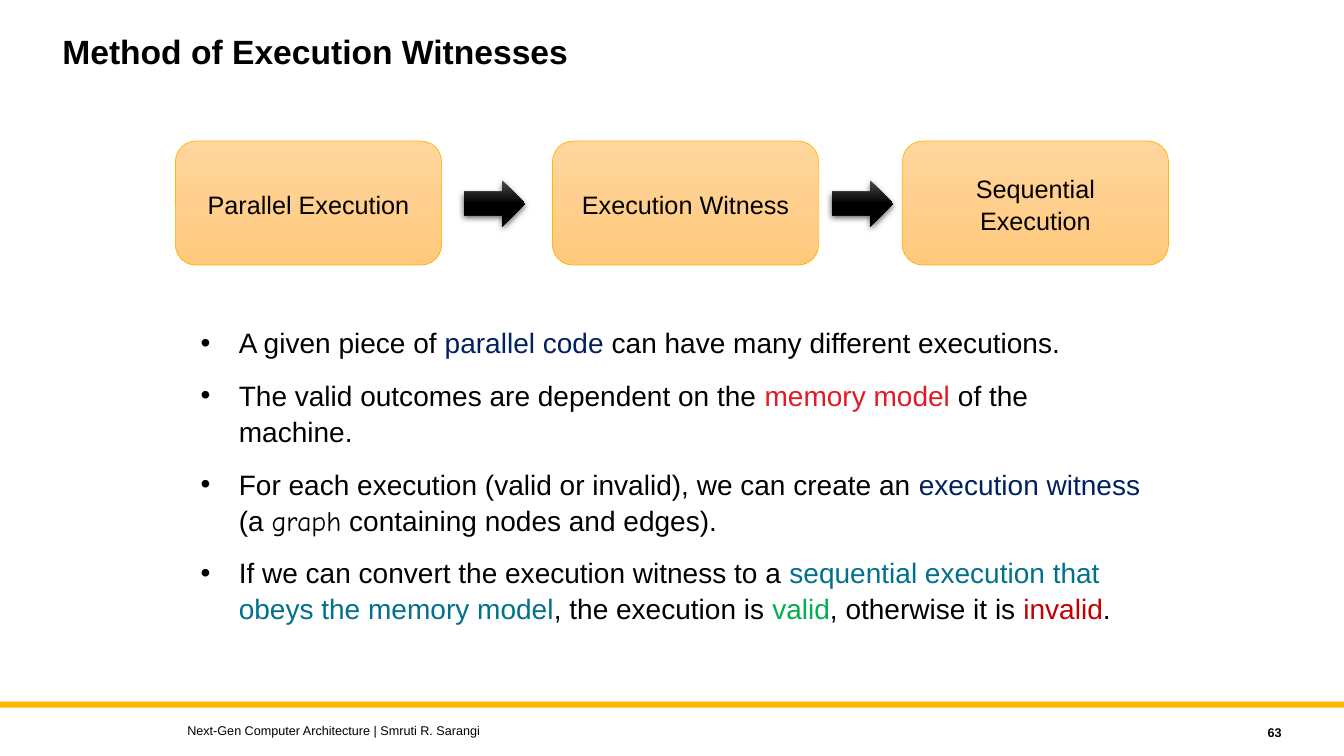
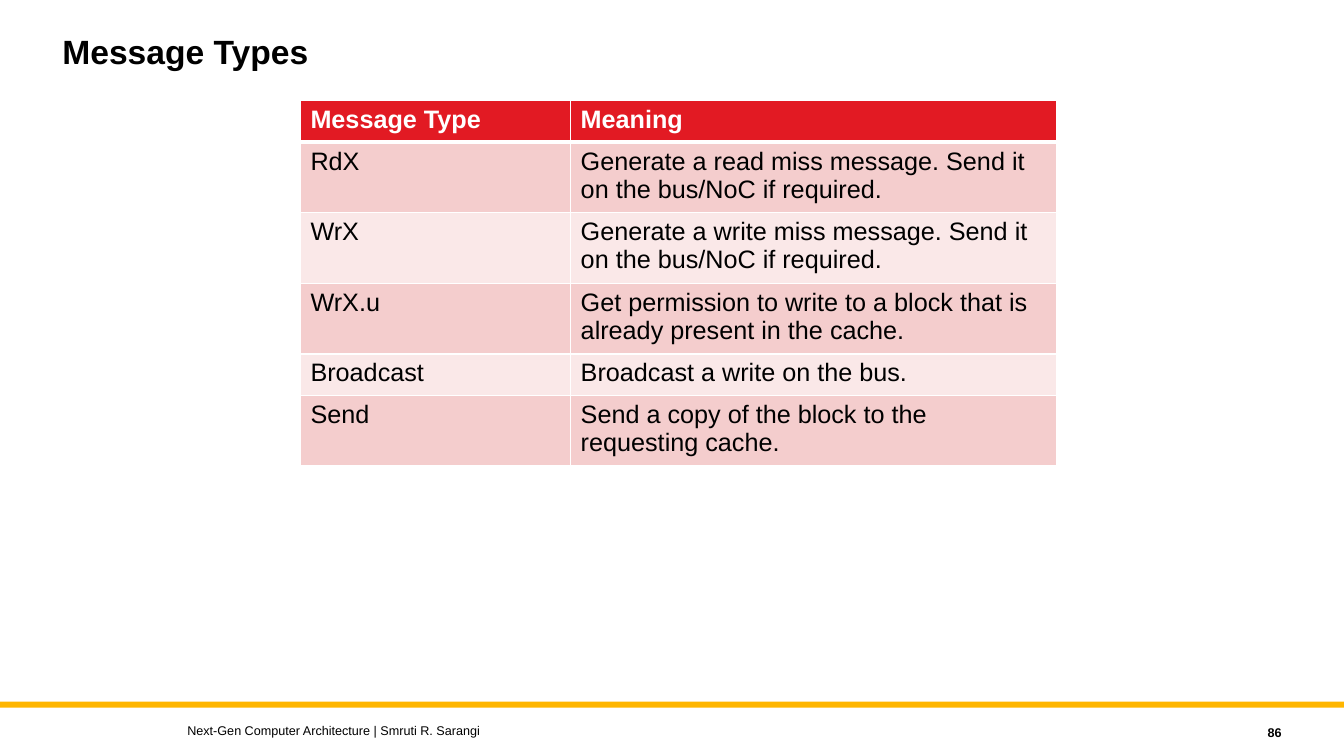
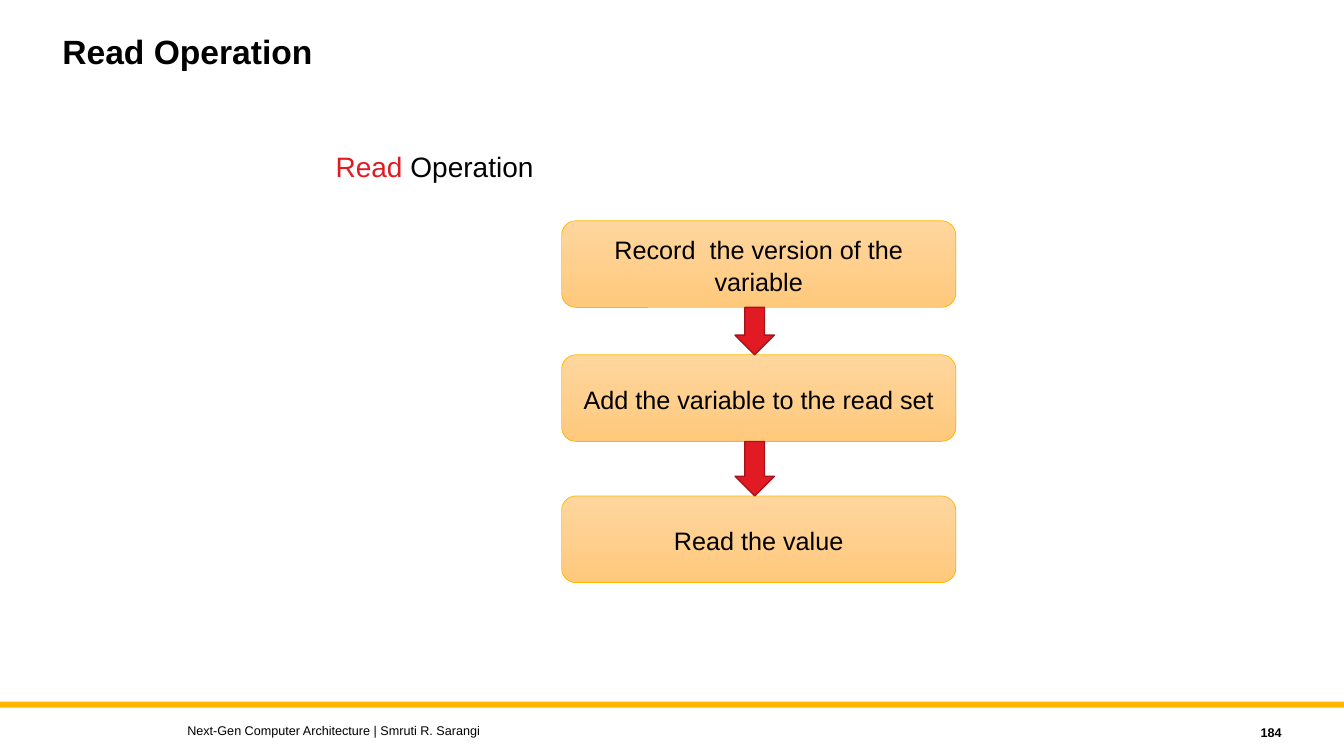
"""Build three computer architecture slides: a flow, a table and a sequence."""
from itertools import pairwise

from lxml import etree
from pptx import Presentation
from pptx import util as u
from pptx.dml.color import RGBColor
from pptx.enum import shapes, text
from pptx.oxml import parse_xml
from pptx.oxml.ns import nsdecls, qn


class Theme:
    font, hand = "Arial", "Comic Neue"
    head, body, label, foot = 24, 20, 18, 9
    black, white, gold, red = "000000", "FFFFFF", "FFB600", "E21A23"
    navy, teal, green, wine = "002060", "01708C", "00B050", "C00000"
    edge, gray = "A7131A", "4B4B4B"
    light, deep = "FFD69E", "FFC97C"
    bands = "FAE8E8", "F4CDCD"
    lead = 1.07


def write(frame, paras, size, bold=False, align=text.PP_ALIGN.LEFT, lead=None):
    """Fill a frame with paragraphs, each a list of (words, colour, font) parts."""
    frame.word_wrap = True
    for i, parts in enumerate(paras):
        para = frame.paragraphs[0] if i == 0 else frame.add_paragraph()
        para.alignment = align
        para.line_spacing = lead
        for words, color, *font in parts:
            run = para.add_run()
            run.text = words
            run.font.size = u.Pt(size)
            run.font.bold = bold
            run.font.name = font[0] if font else Theme.font
            run.font.color.rgb = RGBColor.from_string(color)


def draw(slide, kind, box, fill, line=None, width=0.5, label=None, stop=1):
    """Add a shape with a plain fill, or a downward gradient for a pair of colours."""
    shape = slide.shapes.add_shape(kind, *map(u.Inches, box))
    shape.shadow.inherit = False
    if isinstance(fill, tuple):
        shape.fill.gradient()
        shape.fill.gradient_angle = 270
        for mark, color, spot in zip(shape.fill.gradient_stops, fill, (0, stop)):
            mark.color.rgb = RGBColor.from_string(color)
            mark.position = spot
    else:
        shape.fill.solid()
        shape.fill.fore_color.rgb = RGBColor.from_string(fill)
    if line:
        shape.line.color.rgb = RGBColor.from_string(line)
        shape.line.width = u.Pt(width)
    else:
        shape.line.fill.background()
    if label:
        shape.text_frame.vertical_anchor = text.MSO_ANCHOR.MIDDLE
        write(shape.text_frame, [[(label, Theme.black)]], Theme.label,
              align=text.PP_ALIGN.CENTER, lead=Theme.lead)
    return shape


kinds = shapes.MSO_SHAPE
left, right = text.PP_ALIGN.LEFT, text.PP_ALIGN.RIGHT
top, middle = text.MSO_ANCHOR.TOP, text.MSO_ANCHOR.MIDDLE
credit = "Next-Gen Computer Architecture | Smruti R. Sarangi"

deck = Presentation()
deck.slide_width, deck.slide_height = u.Inches(13.33), u.Inches(7.5)

pages = []
for title, number in [("Method of Execution Witnesses", 63),
                      ("Message Types", 86), ("Read Operation", 184)]:
    page = deck.slides.add_slide(deck.slide_layouts[6])
    draw(page, kinds.RECTANGLE, (0, 6.96, 13.33, 0.06), Theme.gold)
    for words, box, size, bold, align, anchor, lead in [
        (title, (0.52, 0.3, 10, 0.9), Theme.head, True, left, top, 0.9),
        (credit, (1.76, 7.12, 8, 0.25), Theme.foot, False, left, middle, None),
        (str(number), (11.41, 7.14, 1.4, 0.25), Theme.foot, True, right, middle, None),
    ]:
        frame = page.shapes.add_textbox(*map(u.Inches, box)).text_frame
        frame.vertical_anchor = anchor
        write(frame, [[(words, Theme.black)]], size, bold, align, lead)
    pages.append(page)
flow, types, steps = pages

for x, label in [(1.74, "Parallel Execution"), (5.48, "Execution Witness"),
                 (8.95, "Sequential Execution")]:
    draw(flow, kinds.ROUNDED_RECTANGLE, (x, 1.4, 2.64, 1.23),
         (Theme.light, Theme.deep), Theme.gold, label=label)

for x in (4.6, 8.25):
    arrow = draw(flow, kinds.RIGHT_ARROW, (x, 1.79, 0.61, 0.46),
                 (Theme.gray, Theme.black), stop=0.5)
    arrow.element.spPr.find(qn("a:effectLst")).append(parse_xml(
        f'<a:outerShdw {nsdecls("a")} blurRad="{u.Pt(4.5)}" dist="{u.Pt(1.5)}" '
        f'dir="5400000" rotWithShape="0"><a:srgbClr val="{Theme.black}">'
        '<a:alpha val="63000"/></a:srgbClr></a:outerShdw>'))

points = [
    [("A given piece of ", Theme.black), ("parallel code ", Theme.navy),
     ("can have many different executions.", Theme.black)],
    [("The valid outcomes are dependent on the ", Theme.black),
     ("memory model ", Theme.red), ("of the machine.", Theme.black)],
    [("For each execution (valid or invalid), we can create an ", Theme.black),
     ("execution witness ", Theme.navy), ("(a ", Theme.black),
     ("graph", Theme.black, Theme.hand),
     (" containing nodes and edges).", Theme.black)],
    [("If we can convert the execution witness to a ", Theme.black),
     ("sequential execution that obeys the memory model", Theme.teal),
     (", the execution is ", Theme.black), ("valid", Theme.green),
     (", otherwise it is ", Theme.black), ("invalid", Theme.wine),
     (".", Theme.black)],
]
frame = flow.shapes.add_textbox(*map(u.Inches, (1.89, 3.16, 9.55, 3.05))).text_frame
write(frame, points, Theme.body, lead=Theme.lead)
for i, para in enumerate(frame.paragraphs):
    para.space_before = u.Pt(12 if i else 0)
    props = para._p.get_or_add_pPr()
    props.set("marL", str(u.Inches(0.38)))
    props.set("indent", str(-u.Inches(0.38)))
    etree.SubElement(props, qn("a:buFont"), typeface=Theme.font)
    etree.SubElement(props, qn("a:buChar"), char="•")

rows = [
    ("Message Type", "Meaning"),
    ("RdX", "Generate a read miss message. Send it on the bus/NoC if required."),
    ("WrX", "Generate a write miss message. Send it on the bus/NoC if required."),
    ("WrX.u", "Get permission to write to a block that is already present in the cache."),
    ("Broadcast", "Broadcast a write on the bus."),
    ("Send", "Send a copy of the block to the requesting cache."),
]
grid = types.shapes.add_table(
    len(rows), 2, *map(u.Inches, (2.98, 1, 7.5, 0.41 * len(rows)))).table
for col, width in zip(grid.columns, (2.68, 4.82)):
    col.width = u.Inches(width)
for r, row in enumerate(rows):
    for c, words in enumerate(row):
        cell = grid.cell(r, c)
        props = cell._tc.get_or_add_tcPr()
        for side in "LRTB":
            thick = 3 if (r, side) in ((0, "B"), (1, "T")) else 1
            props.append(parse_xml(
                f'<a:ln{side} {nsdecls("a")} w="{u.Pt(thick)}"><a:solidFill>'
                f'<a:srgbClr val="{Theme.white}"/></a:solidFill></a:ln{side}>'))
        cell.fill.solid()
        cell.fill.fore_color.rgb = RGBColor.from_string(
            Theme.bands[r % 2] if r else Theme.red)
        write(cell.text_frame, [[(words, Theme.black if r else Theme.white)]],
              Theme.label, bold=r == 0)

frame = steps.shapes.add_textbox(*map(u.Inches, (3.23, 1.41, 8.2, 0.68))).text_frame
write(frame, [[("Read", Theme.red), (" Operation", Theme.black)]], Theme.body,
      lead=Theme.lead)

tall = 0.86
tops = 2.19, 3.52, 4.92
for y, label in zip(tops, ("Record  the version of the variable",
                           "Add the variable to the read set", "Read the value")):
    draw(steps, kinds.ROUNDED_RECTANGLE, (5.57, y, 3.91, tall),
         (Theme.light, Theme.deep), Theme.gold, label=label)
for y, below in pairwise(tops):
    draw(steps, kinds.DOWN_ARROW, (7.29, y + tall, 0.39, below - y - tall),
         Theme.red, Theme.edge, 1)

deck.save("out.pptx")
